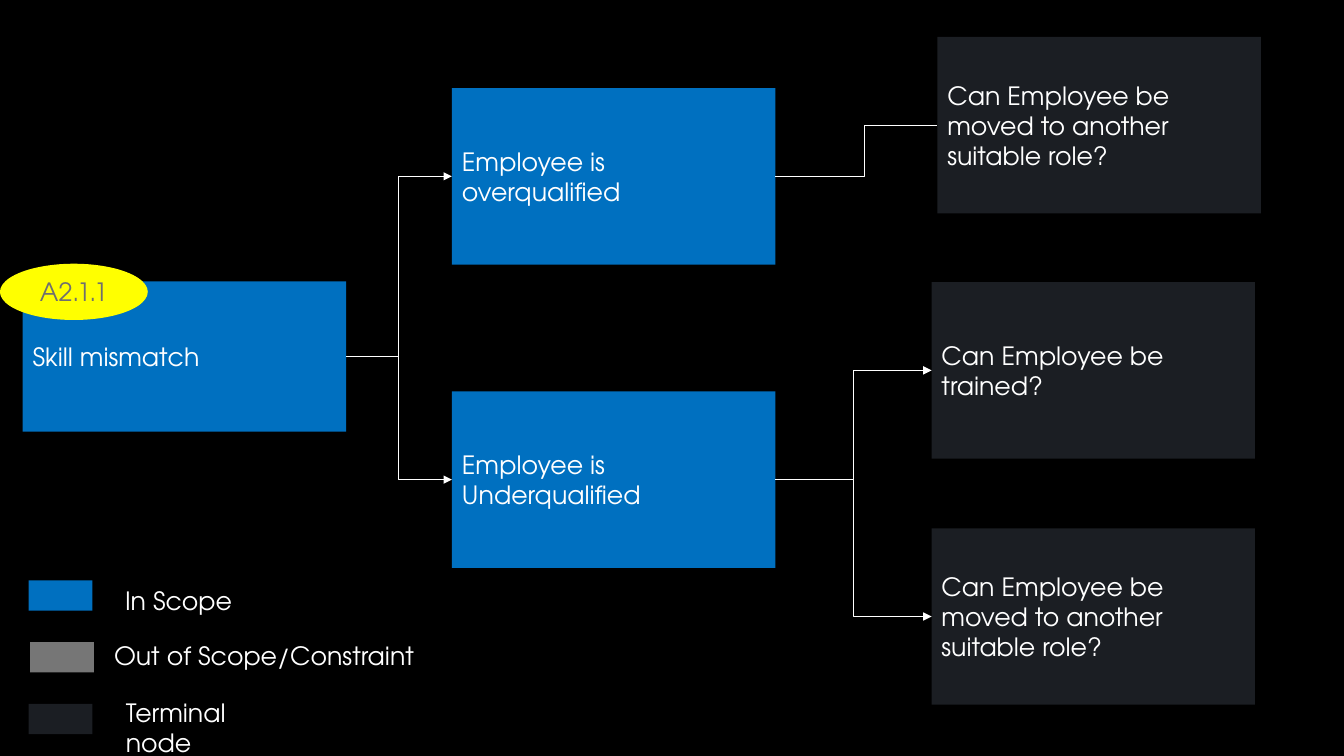
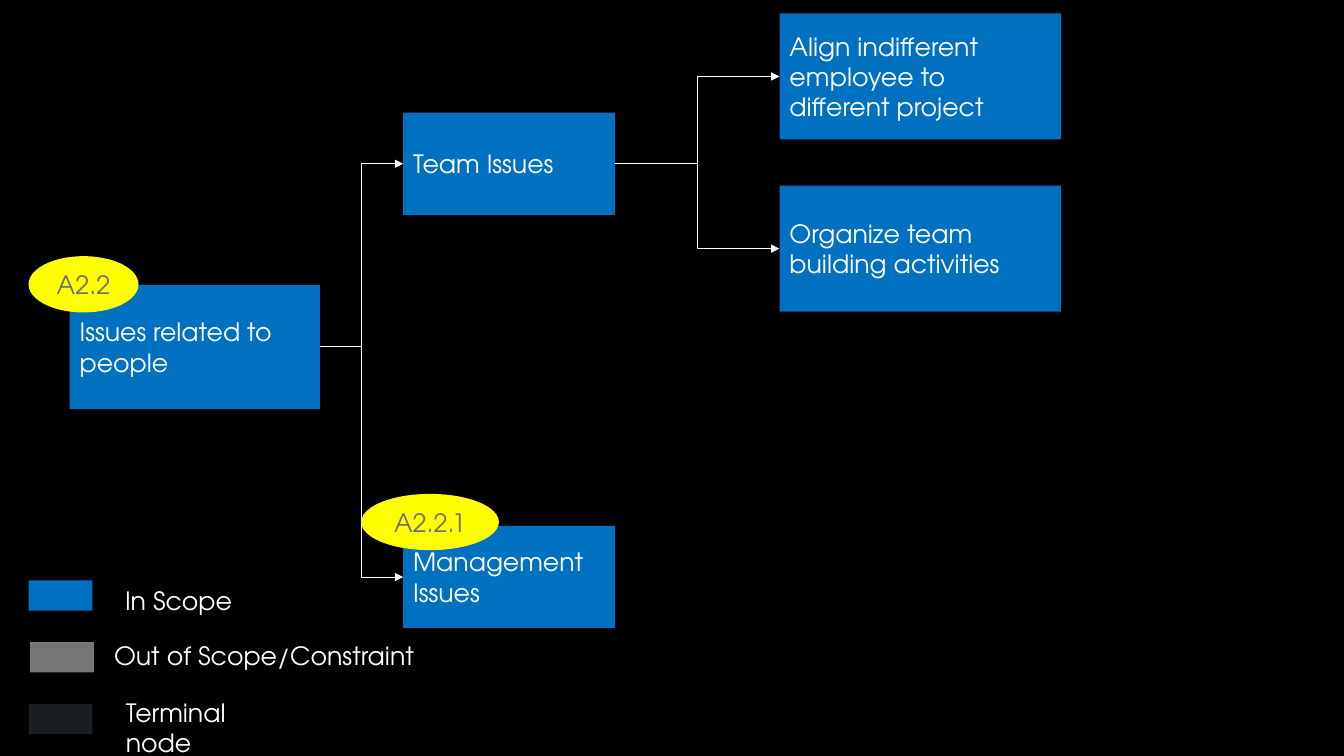
from lxml import etree
from pptx import Presentation
from pptx.dml.color import RGBColor
from pptx.enum.shapes import MSO_CONNECTOR, MSO_SHAPE
from pptx.enum.text import MSO_ANCHOR, PP_ALIGN
from pptx.oxml.ns import qn
from pptx.util import Inches, Pt

RECTANGLE, ELLIPSE = MSO_SHAPE.RECTANGLE, MSO_SHAPE.OVAL
ELBOW = MSO_CONNECTOR.ELBOW
LEFT, CENTER = PP_ALIGN.LEFT, PP_ALIGN.CENTER
TOP, MIDDLE = MSO_ANCHOR.TOP, MSO_ANCHOR.MIDDLE
LEFT_SIDE, RIGHT_SIDE = 1, 3

WIDTH, HEIGHT = Inches(13.33), Inches(7.5)
COLUMNS, ROWS = 160, 90
FONT, TEXT_SIZE = "TeX Gyre Adventor", 18
COLORS = {
    "background": "000000",
    "in_scope": "0070C0",
    "out_of_scope": "767676",
    "terminal": "1B1E23",
    "badge": "FFFF00",
    "badge_text": "6F6F6F",
    "text": "FFFFFF",
    "line": "FFFFFF",
}


def color(name):
    return RGBColor.from_string(COLORS[name])


def write(frame, text, ink="text", align=LEFT, anchor=TOP):
    frame.word_wrap = True
    frame.vertical_anchor = anchor
    para = frame.paragraphs[0]
    para.alignment = align
    span = para.add_run()
    span.text = text
    span.font.name = FONT
    span.font.size = Pt(TEXT_SIZE)
    span.font.color.rgb = color(ink)


def grid(left, top, width, height):
    """Turn columns and rows of the grid into slide lengths."""
    across, down = WIDTH / COLUMNS, HEIGHT / ROWS
    return (round(left * across), round(top * down),
            round(width * across), round(height * down))


class IssueTree:
    """A deck of issue trees and the page being drawn."""

    def __init__(self):
        self.deck = Presentation()
        self.deck.slide_width, self.deck.slide_height = WIDTH, HEIGHT
        self.page = None

    def add_page(self):
        self.page = self.deck.slides.add_slide(self.deck.slide_layouts[6])
        fill = self.page.background.fill
        fill.solid()
        fill.fore_color.rgb = color("background")

    def shape(self, area, paint, kind=RECTANGLE):
        box = self.page.shapes.add_shape(kind, *grid(*area))
        box.shadow.inherit = False
        box.fill.solid()
        box.fill.fore_color.rgb = color(paint)
        box.line.fill.background()
        return box

    def node(self, text, area, paint="in_scope"):
        box = self.shape(area, paint)
        write(box.text_frame, text, anchor=MIDDLE)
        return box

    def badge(self, text, left, top, width):
        box = self.shape((left, top, width, 6.7), "badge", ELLIPSE)
        write(box.text_frame, text, ink="badge_text", align=CENTER, anchor=MIDDLE)

    def label(self, text, area):
        box = self.page.shapes.add_textbox(*grid(*area))
        write(box.text_frame, text)

    def branch(self, parent, child, arrow=True, bend=0.5):
        """Join two nodes; bend is the share of the way at which the line turns."""
        line = self.page.shapes.add_connector(ELBOW, 0, 0, 0, 0)
        line.begin_connect(parent, RIGHT_SIDE)
        line.end_connect(child, LEFT_SIDE)
        line.line.color.rgb = color("line")
        line.line.width = Pt(0.75)
        properties = line._element.spPr
        guides = properties.find(qn("a:prstGeom")).get_or_add_avLst()
        etree.SubElement(guides, qn("a:gd"), name="adj1",
                         fmla=f"val {round(bend * 100000)}")
        if arrow:
            etree.SubElement(properties.find(qn("a:ln")), qn("a:tailEnd"),
                             type="triangle")
        etree.SubElement(properties, qn("a:effectLst"))

    def legend(self):
        entries = [
            ("In Scope", "in_scope", 3.4, (13.7, 69.1, 20.2, 4.8)),
            ("Out of Scope/Constraint", "out_of_scope", 3.6, (12.4, 75.6, 51.8, 8.5)),
            ("Terminal node", "terminal", 3.4, (13.8, 82.4, 20.2, 8.5)),
        ]
        for row, (text, paint, left, area) in enumerate(entries):
            self.shape((left, 69.1 + row * 7.35, 7.6, 3.6), paint)
            self.label(text, area)


def skill_mismatch(tree):
    tree.add_page()
    width, height = 38.5, 21
    move = "Can Employee be moved to another suitable role?"
    root = tree.node("Skill mismatch", (2.7, 33.5, width, 17.9))
    over, under = [
        tree.node(text, (53.8, top, width, height))
        for text, top in [("Employee is overqualified", 10.5),
                          ("Employee is Underqualified", 46.6)]
    ]
    move_over, train, move_under = [
        tree.node(text, (left, top, width, height), "terminal")
        for text, left, top in [(move, 111.6, 4.4),
                                ("Can Employee be trained?", 110.9, 33.6),
                                (move, 110.9, 62.9)]
    ]
    for parent, child in [(root, over), (root, under), (under, train), (under, move_under)]:
        tree.branch(parent, child)
    tree.branch(over, move_over, arrow=False, bend=0.55)
    tree.badge("A2.1.1", 0, 31.4, 17.6)
    tree.legend()


def people_issues(tree):
    tree.add_page()
    root = tree.node("Issues related to people", (8.3, 33.9, 29.8, 14.8))
    team, management = [
        tree.node(text, (48, top, 25.2, 12.2))
        for text, top in [("Team Issues", 13.4), ("Management Issues", 62.6)]
    ]
    align, organize = [
        tree.node(text, (92.8, top, 33.5, 15))
        for text, top in [("Align indifferent employee to different project", 1.6),
                          ("Organize team building activities", 22.1)]
    ]
    for parent, child in [(root, team), (root, management), (team, align), (team, organize)]:
        tree.branch(parent, child)
    tree.badge("A2.2", 3.4, 30.5, 13.1)
    tree.badge("A2.2.1", 43, 58.8, 16.4)
    tree.legend()


def main():
    tree = IssueTree()
    skill_mismatch(tree)
    people_issues(tree)
    tree.deck.save("out.pptx")


if __name__ == "__main__":
    main()
